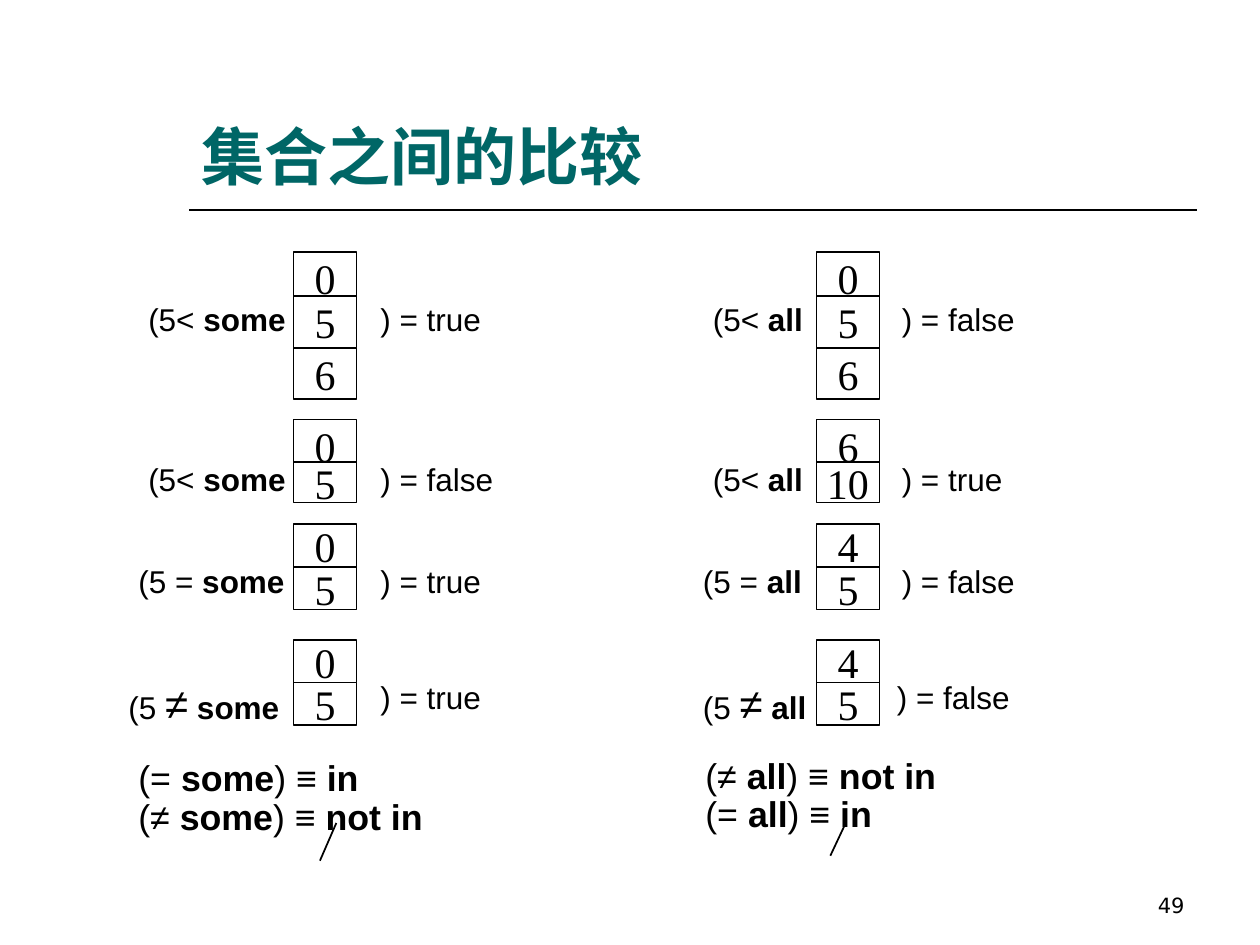
from pptx import Presentation
from pptx.dml.color import RGBColor
from pptx.enum.shapes import MSO_CONNECTOR as Connector, MSO_SHAPE as Shape
from pptx.enum.text import MSO_ANCHOR as Anchor, PP_ALIGN as Align
from pptx.oxml.ns import qn
from pptx.util import Cm, Pt
from lxml.etree import SubElement

BLACK, WHITE, TEAL = "000000", "FFFFFF", "006666"


def color(hex_string):
    return RGBColor.from_string(hex_string)


class SlideBuilder:
    font = "Arial"
    cell_font = "Times New Roman"
    number_font = "DejaVu Sans"
    body_size = 18
    cell_size = 24
    rule_size = 20.4
    cell_width = 1.27

    def __init__(self, slide):
        self.slide = slide

    def style(self, run, size, font=None, bold=False, ink=BLACK):
        run.font.name = font or self.font
        run.font.size = Pt(size)
        run.font.bold = bold
        run.font.color.rgb = color(ink)

    def textbox(self, left, top, width, height):
        shape = self.slide.shapes.add_textbox(Cm(left), Cm(top), Cm(width), Cm(height))
        shape.text_frame.word_wrap = True
        return shape.text_frame

    def label(self, box, text, size, font=None, bold=False, ink=BLACK, align=Align.LEFT):
        text_frame = self.textbox(*box)
        text_frame.vertical_anchor = Anchor.BOTTOM
        text_frame.text = text
        paragraph = text_frame.paragraphs[0]
        paragraph.alignment = align
        self.style(paragraph.runs[0], size, font, bold, ink)

    def formula(self, box, lines, size, spacing=1.0):
        text_frame = self.textbox(*box)
        for index, parts in enumerate(lines):
            paragraph = text_frame.add_paragraph() if index else text_frame.paragraphs[0]
            paragraph.line_spacing = spacing
            for text, bold, *own_size in parts:
                run = paragraph.add_run()
                run.text = text
                self.style(run, own_size[0] if own_size else size, bold=bold)

    def cell(self, left, top, height, value):
        shape = self.slide.shapes.add_shape(
            Shape.RECTANGLE, Cm(left), Cm(top), Cm(self.cell_width), Cm(height))
        shape.shadow.inherit = False
        shape.fill.solid()
        shape.fill.fore_color.rgb = color(WHITE)
        shape.line.color.rgb = color(BLACK)
        shape.line.width = Pt(1)
        text_frame = shape.text_frame
        text_frame.word_wrap = False
        text_frame.vertical_anchor = Anchor.MIDDLE
        text_frame.text = value
        paragraph = text_frame.paragraphs[0]
        paragraph.alignment = Align.CENTER
        self.style(paragraph.runs[0], self.cell_size, self.cell_font)

    def line(self, x1, y1, x2, y2):
        connector = self.slide.shapes.add_connector(
            Connector.STRAIGHT, Cm(x1), Cm(y1), Cm(x2), Cm(y2))
        connector.line.color.rgb = color(BLACK)
        connector.line.width = Pt(1)
        SubElement(connector._element.spPr, qn("a:effectLst"))

    def comparison(self, cell_left, cells, values, operand, result):
        for (top, height), value in zip(cells, values):
            self.cell(cell_left, top, height, value)
        for box, parts in (operand, result):
            self.formula(box, [parts], self.body_size)


ROW_CELLS = [
    [(5.08, 1.04), (5.97, 1.04), (7.01, 1.04)],
    [(8.46, 1.07), (9.32, 0.81)],
    [(10.57, 0.86), (11.43, 0.86)],
    [(12.9, 0.86), (13.76, 0.86)],
]
ROW_OPERATORS = [
    [("(5< ", False)],
    [("(5< ", False)],
    [("(5 = ", False)],
    [("(5 ", False), ("≠", False, 24), (" ", False)],
]
ROW_LABEL_TOPS = [5.92, 9.14, 11.21, 13.54]
COLUMNS = [
    ("some", 5.92, [2.74, 2.74, 2.54, 2.34], [7.42] * 4,
     [("0", "5", "6"), ("0", "5"), ("0", "5"), ("0", "5")],
     ["true", "false", "true", "true"]),
    ("all", 16.46, [14.12, 14.12, 13.92, 13.92], [17.93, 17.93, 17.93, 17.83],
     [("0", "5", "6"), ("6", "10"), ("4", "5"), ("4", "5")],
     ["false", "true", "false", "false"]),
]


def equivalence(operator, quantifier, meaning):
    return [(f"({operator} ", False), (quantifier, True), (") ≡ ", False), (meaning, True)]


def main():
    presentation = Presentation()
    presentation.slide_width, presentation.slide_height = Cm(25.4), Cm(19.05)
    slide = presentation.slides.add_slide(presentation.slide_layouts[6])
    builder = SlideBuilder(slide)

    builder.line(3.81, 4.24, 24.13, 4.24)
    builder.label((18.21, 17.35, 5.92, 1.27), "49", 12, builder.number_font, align=Align.RIGHT)
    builder.label((3.81, 0.84, 20.32, 3.18), "集合之间的比较", 36, bold=True, ink=TEAL)

    for quantifier, cell_left, operand_lefts, result_lefts, value_sets, answers in COLUMNS:
        rows = zip(ROW_CELLS, ROW_OPERATORS, ROW_LABEL_TOPS,
                   operand_lefts, result_lefts, value_sets, answers)
        for cells, operator, top, operand_left, result_left, values, answer in rows:
            operand = ((operand_left, top, 4.2, 1.02), operator + [(quantifier, True)])
            result = ((result_left, top, 3.38, 1.02), [(f") = {answer}", False)])
            builder.comparison(cell_left, cells, values, operand, result)

    builder.formula((13.97, 15.16, 8.46, 1.98),
                    [equivalence("≠", "all", "not in"), equivalence("=", "all", "in")],
                    builder.rule_size, 0.9)
    builder.line(17.04, 16.61, 16.74, 17.25)
    builder.formula((2.54, 15.21, 7.42, 1.98),
                    [equivalence("=", "some", "in"), equivalence("≠", "some", "not in")],
                    builder.rule_size, 0.9)
    builder.line(6.78, 16.59, 6.45, 17.35)

    presentation.save("out.pptx")


if __name__ == "__main__":
    main()
